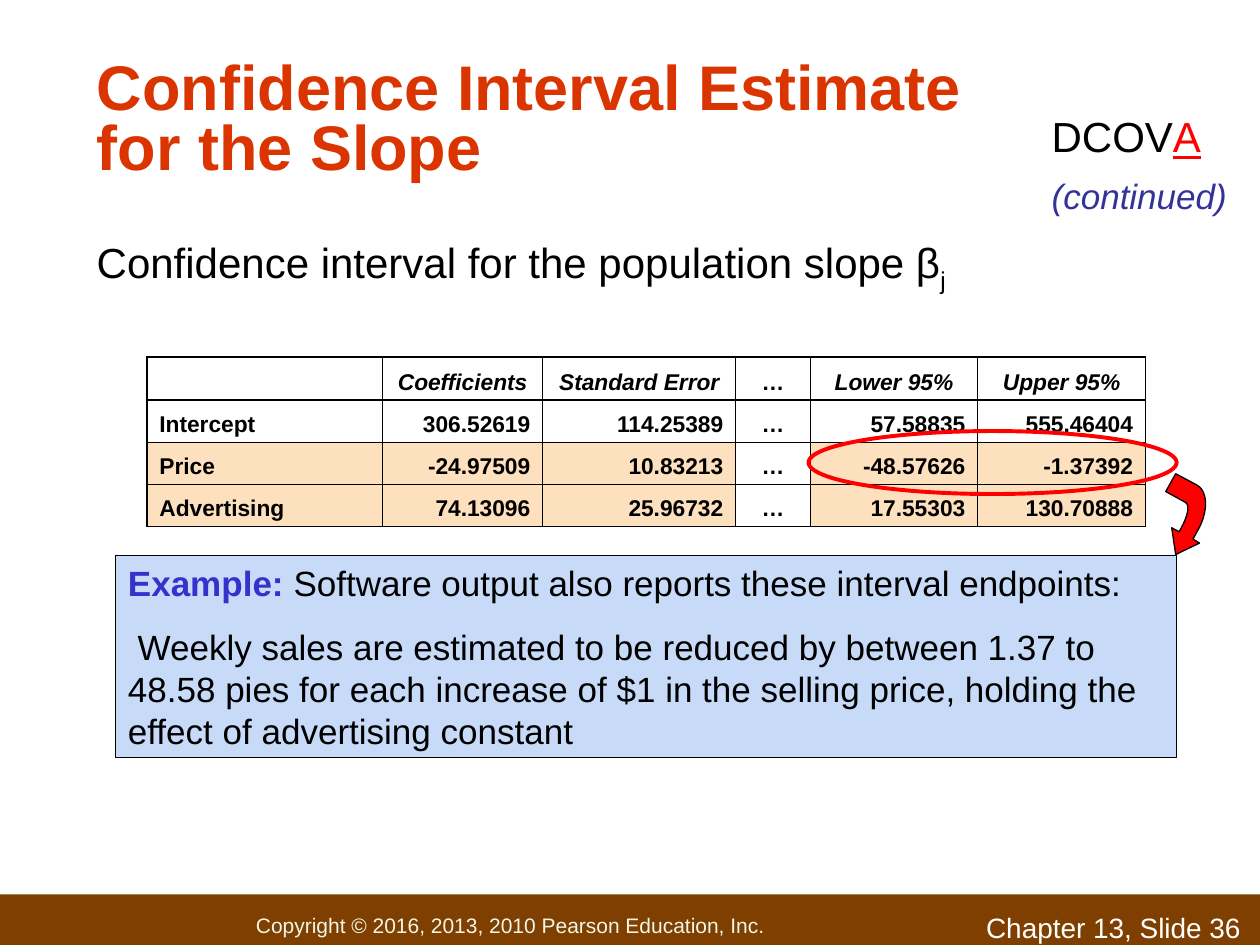
"""Build the slide on the confidence interval estimate for the slope."""
from dataclasses import dataclass
from typing import Optional

import pptx
import pptx.dml.color
import pptx.enum.shapes
import pptx.enum.text
import pptx.oxml
import pptx.oxml.ns
import pptx.util

Cm = pptx.util.Cm
Pt = pptx.util.Pt
RGBColor = pptx.dml.color.RGBColor
Align = pptx.enum.text.PP_ALIGN
Anchor = pptx.enum.text.MSO_ANCHOR
Preset = pptx.enum.shapes.MSO_SHAPE

BLACK = RGBColor(0x00, 0x00, 0x00)
WHITE = RGBColor(0xFF, 0xFF, 0xFF)
RED = RGBColor(0xFF, 0x00, 0x00)
ORANGE_RED = RGBColor(0xDA, 0x34, 0x00)
BROWN = RGBColor(0x7E, 0x3F, 0x00)
CREAM = RGBColor(0xF3, 0xF5, 0xE7)
PEACH = RGBColor(0xFD, 0xE0, 0xBD)
PALE_BLUE = RGBColor(0xC7, 0xDA, 0xF7)
BLUE = RGBColor(0x33, 0x33, 0xCC)
NAVY = RGBColor(0x33, 0x33, 0x99)

FONT = "Arial"
OUTER, HEADER, INNER = 1.08, 0.75, 0.45
COLUMN_WIDTHS = (4.75, 3.23, 3.89, 1.5, 3.38, 3.38)
ROW_HEIGHT = 0.85
ROWS = (
    ("", "Coefficients", "Standard Error", "…", "Lower 95%", "Upper 95%"),
    ("Intercept", "306.52619", "114.25389", "…", "57.58835", "555.46404"),
    ("Price", "-24.97509", "10.83213", "…", "-48.57626", "-1.37392"),
    ("Advertising", "74.13096", "25.96732", "…", "17.55303", "130.70888"),
)


@dataclass(frozen=True)
class Box:
    """Position and size in centimetres."""
    left: float
    top: float
    width: float
    height: float

    def lengths(self) -> tuple:
        """Return the four values as lengths."""
        return Cm(self.left), Cm(self.top), Cm(self.width), Cm(self.height)


@dataclass(frozen=True)
class Span:
    """A stretch of text in one format."""
    text: str
    size: float
    color: RGBColor = BLACK
    bold: bool = False
    italic: bool = False
    underline: bool = False
    subscript: bool = False


def write_spans(paragraph, *spans: Span) -> None:
    """Add formatted spans to a paragraph."""
    for span in spans:
        run = paragraph.add_run()
        run.text = span.text
        font = run.font
        font.name, font.size = FONT, Pt(span.size)
        font.bold, font.italic = span.bold, span.italic
        font.underline = span.underline
        font.color.rgb = span.color
        if span.subscript:
            run._r.get_or_add_rPr().set("baseline", "-25000")


def add_text(slide, box: Box, *spans: Span, wrap: bool = True) -> None:
    """Add a one-paragraph text box."""
    text_frame = slide.shapes.add_textbox(*box.lengths()).text_frame
    text_frame.word_wrap = wrap
    write_spans(text_frame.paragraphs[0], *spans)


def style_shape(shape, fill: Optional[RGBColor], line: Optional[RGBColor], width: float = 1) -> None:
    """Set fill and outline and remove the shadow."""
    shape.shadow.inherit = False
    if fill is None:
        shape.fill.background()
    else:
        shape.fill.solid()
        shape.fill.fore_color.rgb = fill
    if line is None:
        shape.line.fill.background()
    else:
        shape.line.color.rgb = line
        shape.line.width = Pt(width)


def add_title(slide) -> None:
    """Fill and place the title placeholder."""
    title = slide.shapes.title
    title.left, title.top, title.width, title.height = Box(1.7, 0.84, 21.64, 2.97).lengths()
    text_frame = title.text_frame
    text_frame.auto_size = pptx.enum.text.MSO_AUTO_SIZE.NONE
    text_frame.vertical_anchor = Anchor.BOTTOM
    paragraph = text_frame.paragraphs[0]
    paragraph.text = "Confidence Interval Estimate\vfor the Slope"
    paragraph.alignment = Align.LEFT
    paragraph.line_spacing = 0.8
    for run in paragraph.runs:
        run.font.name, run.font.size, run.font.bold = FONT, Pt(36), True
        run.font.color.rgb = ORANGE_RED


def add_footer(slide) -> None:
    """Add the band with the copyright line and slide number."""
    band = slide.shapes.add_shape(Preset.RECTANGLE, *Box(0, 18.03, 25.4, 1.24).lengths())
    style_shape(band, BROWN, None)
    text_frame = band.text_frame
    text_frame.vertical_anchor = Anchor.MIDDLE
    text_frame.margin_left = Cm(5.16)
    paragraph = text_frame.paragraphs[0]
    paragraph.alignment = Align.LEFT
    write_spans(paragraph, Span("Copyright © 2016, 2013, 2010 Pearson Education, Inc.", 12, CREAM))
    add_text(slide, Box(19.63, 18.24, 5.92, 0.66), Span("Chapter 13, Slide 36", 16, WHITE))


def add_example(slide) -> None:
    """Add the box that explains the interval endpoints."""
    example = slide.shapes.add_shape(Preset.RECTANGLE, *Box(2.33, 11.2, 21.39, 4.07).lengths())
    style_shape(example, PALE_BLUE, BLACK)
    text_frame = example.text_frame
    text_frame.vertical_anchor = Anchor.TOP
    lead = text_frame.paragraphs[0]
    write_spans(lead, Span("Example:", 20, BLUE, bold=True),
                Span(" Software output also reports these interval endpoints:", 20))
    detail = text_frame.add_paragraph()
    detail.space_before = Pt(12.5)
    write_spans(detail, Span(
        " Weekly sales are estimated to be reduced by between 1.37 to 48.58 pies for each "
        "increase of $1 in the selling price, holding the effect of advertising constant", 20))
    for paragraph in text_frame.paragraphs:
        paragraph.alignment = Align.LEFT


def set_border(cell, side: str, width: float) -> None:
    """Draw one black cell border."""
    cell._tc.get_or_add_tcPr().append(pptx.oxml.parse_xml(
        f'<a:{side} {pptx.oxml.ns.nsdecls("a")} w="{Pt(width)}">'
        f'<a:solidFill><a:srgbClr val="{BLACK}"/></a:solidFill></a:{side}>'))


def add_coefficient_table(slide) -> None:
    """Add the regression output table."""
    box = Box(2.96, 7.2, sum(COLUMN_WIDTHS), ROW_HEIGHT * len(ROWS))
    table = slide.shapes.add_table(len(ROWS), len(COLUMN_WIDTHS), *box.lengths()).table
    table.first_row = table.horz_banding = False
    for column, width in zip(table.columns, COLUMN_WIDTHS):
        column.width = Cm(width)
    last_row, last_column = len(ROWS) - 1, len(COLUMN_WIDTHS) - 1
    horizontal = (OUTER, HEADER, INNER, INNER, OUTER)
    for row, texts in enumerate(ROWS):
        table.rows[row].height = Cm(ROW_HEIGHT)
        for column, text in enumerate(texts):
            cell = table.cell(row, column)
            set_border(cell, "lnL", OUTER if column == 0 else INNER)
            set_border(cell, "lnR", OUTER if column == last_column else INNER)
            set_border(cell, "lnT", horizontal[row])
            set_border(cell, "lnB", horizontal[row + 1])
            if row in (2, last_row) and text != "…":
                cell.fill.solid()
                cell.fill.fore_color.rgb = PEACH
            else:
                cell.fill.background()
            cell.vertical_anchor = Anchor.BOTTOM
            cell.margin_top, cell.margin_bottom = 0, Cm(0.1)
            paragraph = cell.text_frame.paragraphs[0]
            if row == 0 or text == "…":
                paragraph.alignment = Align.CENTER
            else:
                paragraph.alignment = Align.RIGHT if column else Align.LEFT
            write_spans(paragraph, Span(text, 13, bold=True, italic=row == 0 and text != "…"))


def curve(*controls: tuple, steps: int = 12) -> list:
    """Return points along a cubic curve."""
    weights = [((1 - t) ** 3, 3 * t * (1 - t) ** 2, 3 * t * t * (1 - t), t ** 3)
               for t in (step / steps for step in range(steps + 1))]
    return [tuple(sum(w * point[axis] for w, point in zip(weight, controls)) for axis in (0, 1))
            for weight in weights]


def add_curved_arrow(slide) -> None:
    """Add the bent arrow from the table to the example."""
    points = [(23.7, 11.18), (24.18, 10.95), (24.05, 10.87),
              *curve((24.13, 10.72), (24.36, 10.34), (24.36, 9.91), (24.13, 9.78)),
              (23.7, 9.55), (23.5, 9.91),
              *curve((23.9, 10.13), (23.98, 10.19), (23.95, 10.36), (23.85, 10.57)),
              (23.77, 10.72), (23.62, 10.64)]
    start, *others = [(Cm(x), Cm(y)) for x, y in points]
    builder = slide.shapes.build_freeform(*start)
    builder.add_line_segments(others, close=True)
    style_shape(builder.convert_to_shape(), RED, BLACK, 0.75)


def main() -> None:
    """Create and save the presentation."""
    presentation = pptx.Presentation()
    presentation.slide_width, presentation.slide_height = Cm(25.4), Cm(19.05)
    slide = presentation.slides.add_slide(presentation.slide_layouts[5])
    add_footer(slide)
    add_title(slide)
    add_text(slide, Box(1.7, 4.65, 20.32, 1.4),
             Span("Confidence interval for the population slope β", 24), Span("j", 24, subscript=True))
    add_example(slide)
    add_coefficient_table(slide)
    ellipse = slide.shapes.add_shape(Preset.OVAL, *Box(16.3, 8.69, 7.42, 1.27).lengths())
    style_shape(ellipse, None, RED, 2.25)
    add_curved_arrow(slide)
    add_text(slide, Box(20.95, 3.4, 4.04, 1.12), Span("(continued)", 20, NAVY, italic=True), wrap=False)
    add_text(slide, Box(20.95, 2.11, 4.01, 1.27),
             Span("DCOV", 24), Span("A", 24, RED, underline=True))
    presentation.save("out.pptx")


if __name__ == "__main__":
    main()
